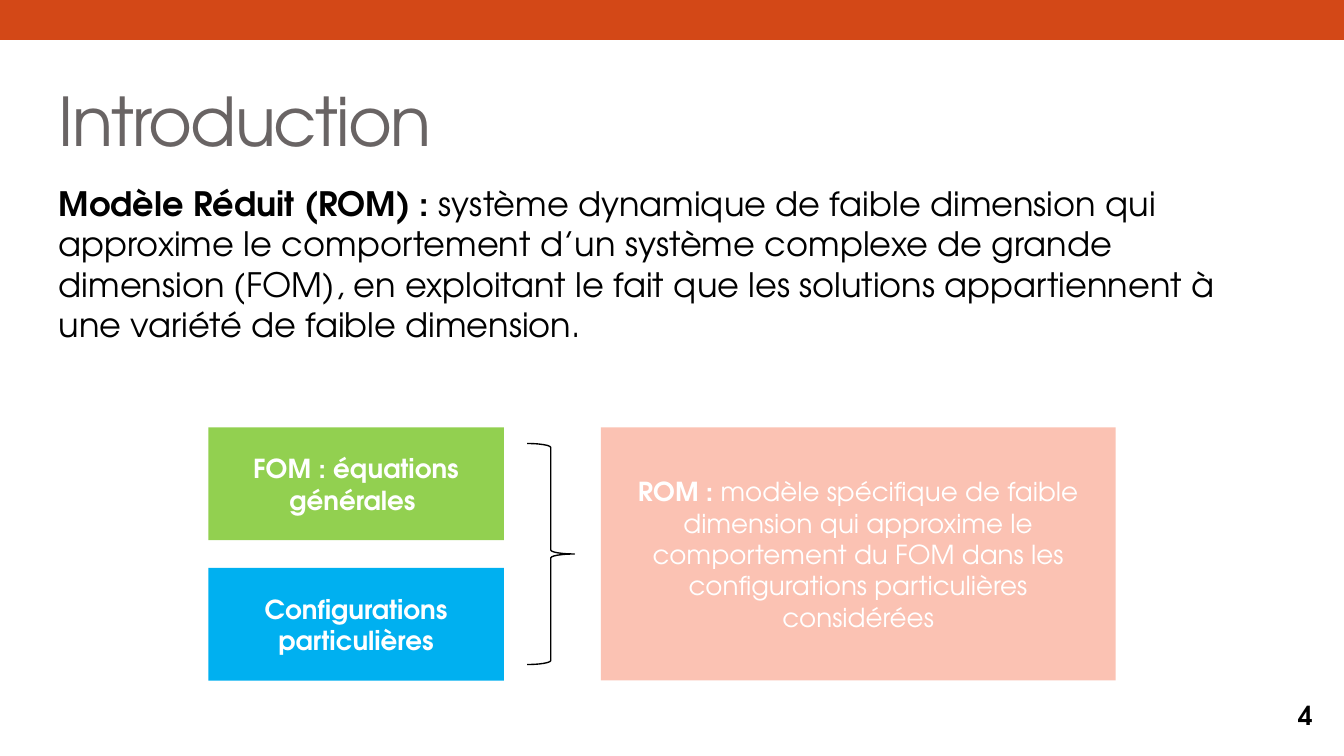
from dataclasses import dataclass

from pptx import Presentation
from pptx.dml.color import RGBColor as Rgb
from pptx.enum.shapes import MSO_SHAPE as Kind
from pptx.enum.text import MSO_ANCHOR as Anchor, PP_ALIGN as Align
from pptx.util import Pt


@dataclass(frozen=True)
class Theme:
    font: str = "TeX Gyre Adventor"
    band: str = "D34817"
    title: str = "696464"
    ink: str = "000000"
    pale: str = "FFFFFF"
    green: str = "92D050"
    blue: str = "00B0F0"
    rose: str = "FBC2B3"
    head: int = 36
    body: int = 18
    label: int = 14


THEME = Theme()
INSET = 7.2


def apply(target, **values):
    for name, value in values.items():
        setattr(target, name, value)


def write(shape, runs, size, color, align=Align.LEFT, anchor=Anchor.TOP, inset=INSET):
    frame = shape.text_frame
    apply(frame, word_wrap=True, vertical_anchor=anchor,
          margin_left=Pt(INSET), margin_right=Pt(INSET),
          margin_top=Pt(inset), margin_bottom=Pt(inset))
    para = frame.paragraphs[0]
    para.alignment = align
    for text, bold in runs:
        run = para.add_run()
        run.text = text
        apply(run.font, name=THEME.font, size=Pt(size), bold=bold)
        run.font.color.rgb = Rgb.from_string(color)
    return para


def add_text(slide, area, runs, size, color, **form):
    box = slide.shapes.add_textbox(*map(Pt, area))
    return write(box, runs, size, color, **form)


def add_block(slide, area, fill, runs=()):
    block = slide.shapes.add_shape(Kind.RECTANGLE, *map(Pt, area))
    block.shadow.inherit = False
    block.fill.solid()
    block.fill.fore_color.rgb = Rgb.from_string(fill)
    block.line.fill.background()
    if runs:
        write(block, runs, THEME.label, THEME.pale,
              align=Align.CENTER, anchor=Anchor.MIDDLE, inset=INSET / 2)


def add_brace(slide, area):
    brace = slide.shapes.add_shape(Kind.RIGHT_BRACE, *map(Pt, area))
    brace.shadow.inherit = False
    brace.fill.background()
    brace.line.color.rgb = Rgb.from_string(THEME.ink)
    brace.line.width = Pt(0.75)


def add_model(slide):
    left, top, width, height, gap = 111.6, 229, 158.4, 60.4, 14.8
    total = 2 * height + gap
    parts = [("FOM : équations générales ", THEME.green),
             ("Configurations particulières", THEME.blue)]
    for row, (text, fill) in enumerate(parts):
        area = left, top + row * (height + gap), width, height
        add_block(slide, area, fill, [(text, True)])
    add_block(slide, (321.9, top, 275.8, total), THEME.rose, [
        ("ROM : ", True),
        ("modèle spécifique de faible dimension qui approxime le comportement "
         "du FOM dans les configurations particulières considérées", False)])
    pad = 8.6
    add_brace(slide, (282.4, top + pad, 25.4, total - 2 * pad))


def main():
    deck = Presentation()
    apply(deck, slide_width=Pt(720), slide_height=Pt(405))
    slide = deck.slides.add_slide(deck.slide_layouts[6])
    left, width = 24.5, 671
    add_block(slide, (0, 0, 720, 21.4), THEME.band)
    title = add_text(slide, (left, 35.2, width, 45.4),
                     [("Introduction", False)], THEME.head, THEME.title)
    title.runs[0].font._element.set("spc", "-100")
    add_text(slide, (left, 90.8, width, 269), [
        ("Modèle Réduit (ROM) : ", True),
        ("système dynamique de faible dimension qui approxime le comportement "
         "d’un système complexe de grande dimension (FOM), en exploitant le fait "
         "que les solutions appartiennent à une variété de faible dimension.",
         False)], THEME.body, THEME.ink)
    add_text(slide, (667.2, 367.4, 43.2, 31), [("4", True)],
             THEME.label, THEME.ink, align=Align.RIGHT, anchor=Anchor.MIDDLE)
    add_model(slide)
    deck.save("out.pptx")


if __name__ == "__main__":
    main()
